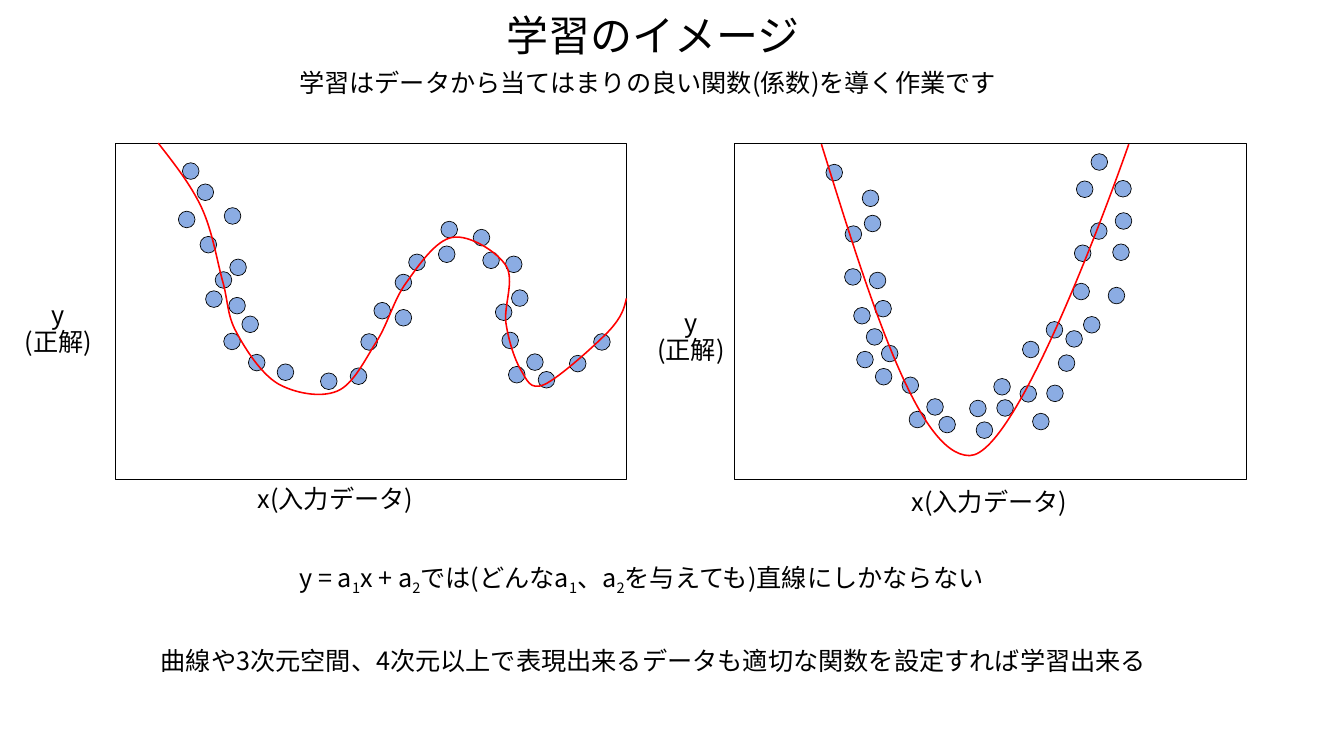
from dataclasses import dataclass

from lxml import etree
from pptx import Presentation, util as u
from pptx.dml.color import RGBColor
from pptx.enum import shapes as kinds, text as txt
from pptx.oxml.ns import qn

FONT = "Noto Sans CJK JP"
BLACK, BLUE, RED = "000000", "8BACE3", "FF0000"
DOT = 0.33
Point = tuple[float, float]


@dataclass
class Label:
    text: str  # pieces between ~ marks are subscripts
    left: float
    top: float
    width: float
    height: float = 0.66
    size: int = 36


@dataclass
class Plot:
    left: float
    dots: list[Point]
    height: float  # of the curve
    curve: list[Point]  # start, then three Bezier points a piece


LABELS = [
    Label("学習のイメージ", 7.26, 0.25, 11.41, 1.02, 60),
    Label("学習はデータから当てはまりの良い関数(係数)を導く作業です", 3.56, 1.34, 18.58),
    Label("y = a~1~x + a~2~では(どんなa~1~、a~2~を与えても)直線にしかならない",
          3.44, 11.14, 18.58),
    Label("y\n(正解)", 0.29, 5.94, 1.74, 1.2),
    Label("x(入力データ)", 17.89, 9.65, 3.49),
    Label("曲線や3次元空間、4次元以上で表現出来るデータも適切な関数を設定すれば学習出来る",
          3.02, 12.81, 19.89),
    Label("y\n(正解)", 12.84, 6.1, 1.74, 1.2),
    Label("x(入力データ)", 4.91, 9.6, 3.49),
]

WAVE = Plot(
    2.28,
    [(3.62, 3.23), (3.91, 3.65), (4.45, 4.12), (3.54, 4.19), (3.97, 4.69),
     (4.56, 5.14), (4.27, 5.39), (4.08, 5.77), (4.54, 5.9), (4.8, 6.27),
     (4.44, 6.61), (4.93, 7.03), (5.5, 7.22), (6.36, 7.4), (6.95, 7.3),
     (7.16, 6.62), (7.42, 6), (7.84, 6.14), (7.84, 5.44), (8.11, 5.04),
     (8.7, 4.88), (8.75, 4.39), (9.39, 4.55), (9.58, 5), (10.03, 5.08),
     (10.15, 5.75), (9.83, 6.03), (9.96, 6.59), (10.45, 7.02), (10.09, 7.27),
     (10.68, 7.37), (11.3, 7.05), (11.78, 6.62)],
    4.99,
    [(3.14, 2.84), (3.46, 3.25), (3.79, 3.67), (4, 4.12),
     (4.21, 4.57), (4.3, 5.14), (4.41, 5.55),
     (4.53, 5.96), (4.5, 6.25), (4.69, 6.59),
     (4.87, 6.93), (5.18, 7.41), (5.51, 7.61),
     (5.84, 7.8), (6.36, 7.9), (6.69, 7.76),
     (7.01, 7.63), (7.24, 7.14), (7.47, 6.78),
     (7.7, 6.42), (7.81, 5.95), (8.06, 5.61),
     (8.31, 5.26), (8.65, 4.76), (8.98, 4.71),
     (9.31, 4.65), (9.86, 4.99), (10.04, 5.27),
     (10.22, 5.56), (9.99, 6.07), (10.04, 6.41),
     (10.09, 6.75), (10.21, 7.13), (10.33, 7.33),
     (10.46, 7.54), (10.51, 7.75), (10.8, 7.63),
     (11.09, 7.5), (11.81, 6.85), (12.08, 6.57),
     (12.35, 6.28), (12.39, 6.1), (12.43, 5.92)],
)

BOWL = Plot(
    14.58,
    [(16.39, 3.26), (17.11, 3.77), (17.15, 4.27), (16.77, 4.48), (16.76, 5.33),
     (17.25, 5.4), (17.36, 5.96), (16.94, 6.1), (17.19, 6.52), (17.49, 6.85),
     (17, 6.97), (17.37, 7.31), (17.9, 7.48), (18.39, 7.91), (18.04, 8.16),
     (18.63, 8.26), (19.24, 7.94), (19.37, 8.37), (19.72, 7.51), (19.78, 7.93),
     (20.24, 7.65), (20.29, 6.77), (20.49, 8.2), (20.77, 7.64), (21, 7.04),
     (20.76, 6.38), (21.15, 6.56), (21.5, 6.28), (21.29, 5.62), (21.99, 5.7),
     (21.32, 4.86), (22.08, 4.84), (21.64, 4.42), (22.13, 4.22), (22.12, 3.58),
     (21.36, 3.59), (21.65, 3.05)],
    6.18,
    [(16.3, 2.86), (17.26, 5.95), (18.22, 9.04), (19.24, 9.04),
     (20.26, 9.04), (22.4, 2.86), (22.4, 2.86)],
)


def cm(inches: float) -> u.Length:
    return u.Cm(inches * 2.54)


def color(code: str) -> RGBColor:
    return RGBColor.from_string(code)


def style(shape, fill: str | None, line: str, width: float) -> None:
    shape.shadow.inherit = False
    if fill:
        shape.fill.solid()
        shape.fill.fore_color.rgb = color(fill)
    else:
        shape.fill.background()
    shape.line.color.rgb = color(line)
    shape.line.width = u.Pt(width)


def add_label(slide, label: Label) -> None:
    box = slide.shapes.add_textbox(
        *map(cm, (label.left, label.top, label.width, label.height)))
    frame = box.text_frame
    frame.word_wrap = True
    frame.auto_size = txt.MSO_AUTO_SIZE.SHAPE_TO_FIT_TEXT
    frame.vertical_anchor = txt.MSO_ANCHOR.MIDDLE
    frame.margin_left = frame.margin_right = cm(0.06)
    frame.margin_top = frame.margin_bottom = cm(0.06)
    for i, line in enumerate(label.text.split("\n")):
        para = frame.add_paragraph() if i else frame.paragraphs[0]
        para.alignment = txt.PP_ALIGN.CENTER
        para.line_spacing = 0.9
        for j, piece in enumerate(line.split("~")):
            run = para.add_run()
            run.text = piece
            run.font.size = u.Pt(label.size)
            run.font.color.rgb = color(BLACK)
            run.font.name = FONT
            props = run._r.get_or_add_rPr()
            etree.SubElement(props, qn("a:ea"), typeface=FONT)
            if j % 2:
                props.set("baseline", "-25000")


def add_plot(slide, plot: Plot) -> None:
    frame = slide.shapes.add_shape(
        kinds.MSO_SHAPE.RECTANGLE, *map(cm, (plot.left, 2.84, 10.16, 6.67)))
    style(frame, None, BLACK, 1)
    for x, y in plot.dots:
        dot = slide.shapes.add_shape(
            kinds.MSO_SHAPE.OVAL, *map(cm, (x, y, DOT, DOT)))
        style(dot, BLUE, BLACK, 1)


def add_curve(slide, plot: Plot) -> None:
    """Draw the points as a freeform, each three segments joined to a Bezier."""
    points = [(cm(x), cm(y)) for x, y in plot.curve]
    pen = slide.shapes.build_freeform(*points[0])
    pen.add_line_segments(points[1:], close=False)
    shape = pen.convert_to_shape()
    trail = next(shape._element.iter(qn("a:path")))
    lines = trail.findall(qn("a:lnTo"))
    for i in range(0, len(lines), 3):
        bend = etree.SubElement(trail, qn("a:cubicBezTo"))
        for line in lines[i:i + 3]:
            bend.append(line[0])
            trail.remove(line)
    # Control points may lie below the curve's own box.
    shape.height = cm(plot.height)
    trail.set("h", str(shape.height))
    style(shape, None, RED, 2.25)


def main() -> None:
    deck = Presentation()
    deck.slide_width, deck.slide_height = cm(26.67), cm(15)
    slide = deck.slides.add_slide(deck.slide_layouts[6])
    plots = (WAVE, BOWL)
    for plot in plots:
        add_plot(slide, plot)
    for label in LABELS:
        add_label(slide, label)
    for plot in plots:
        add_curve(slide, plot)
    deck.save("out.pptx")


if __name__ == "__main__":
    main()
